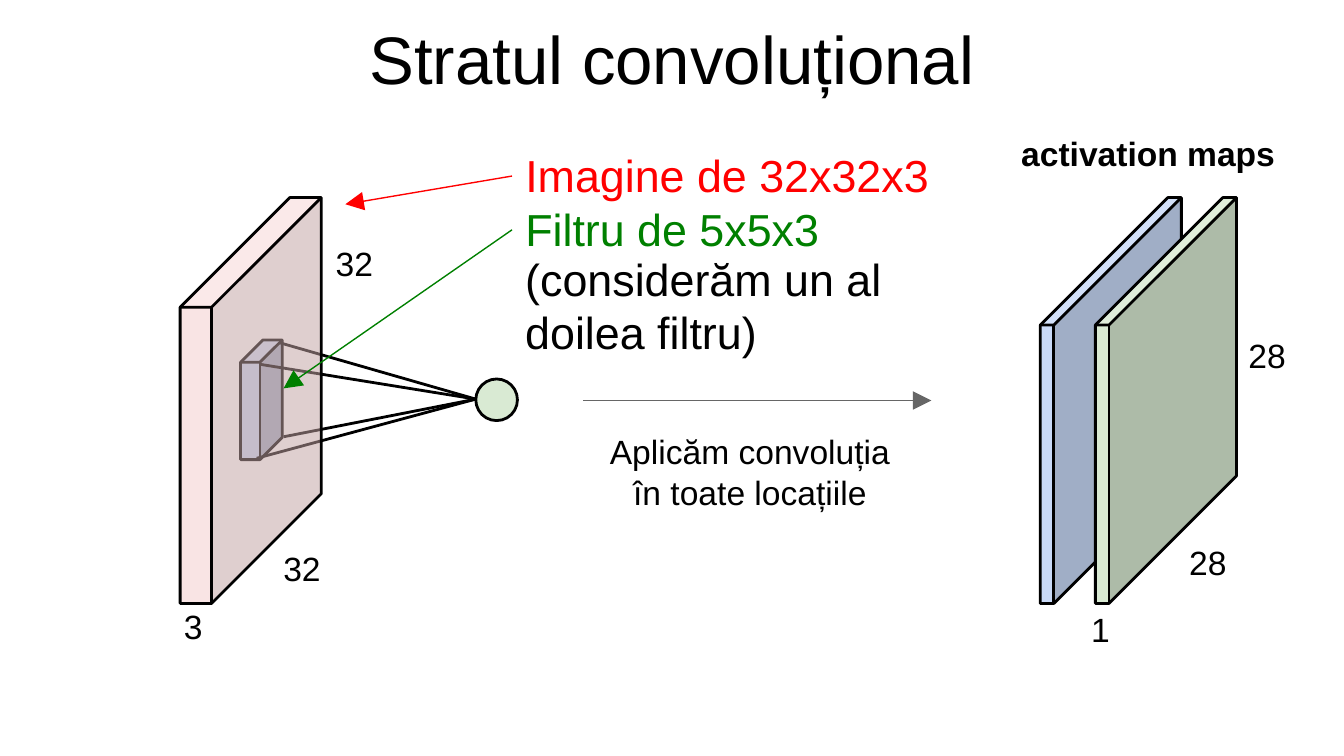
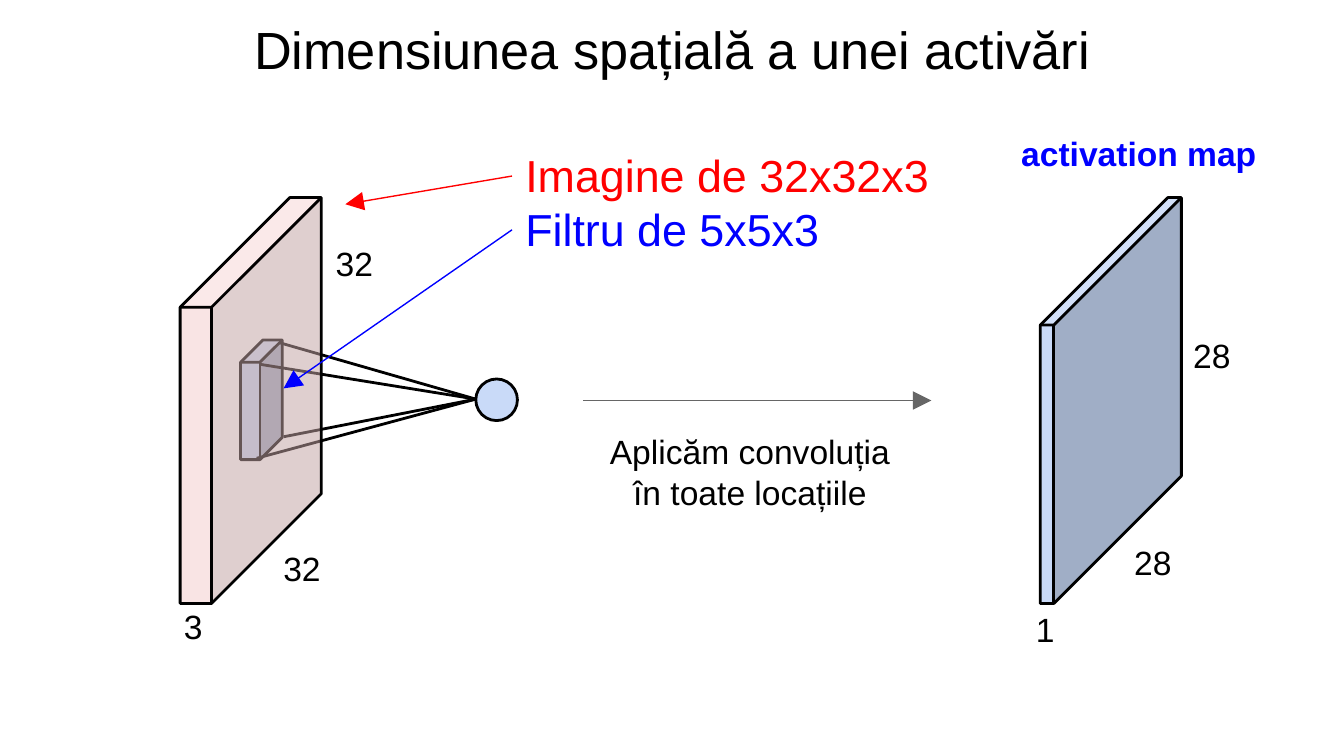
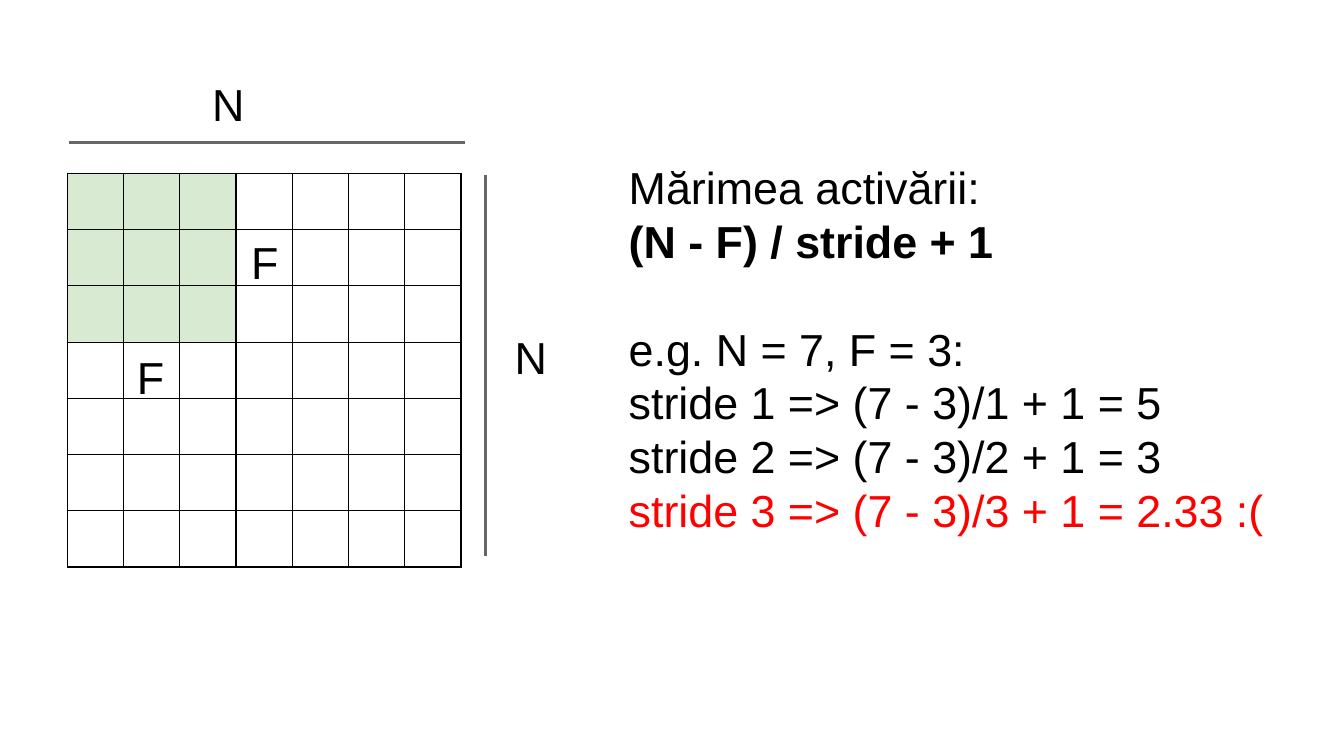
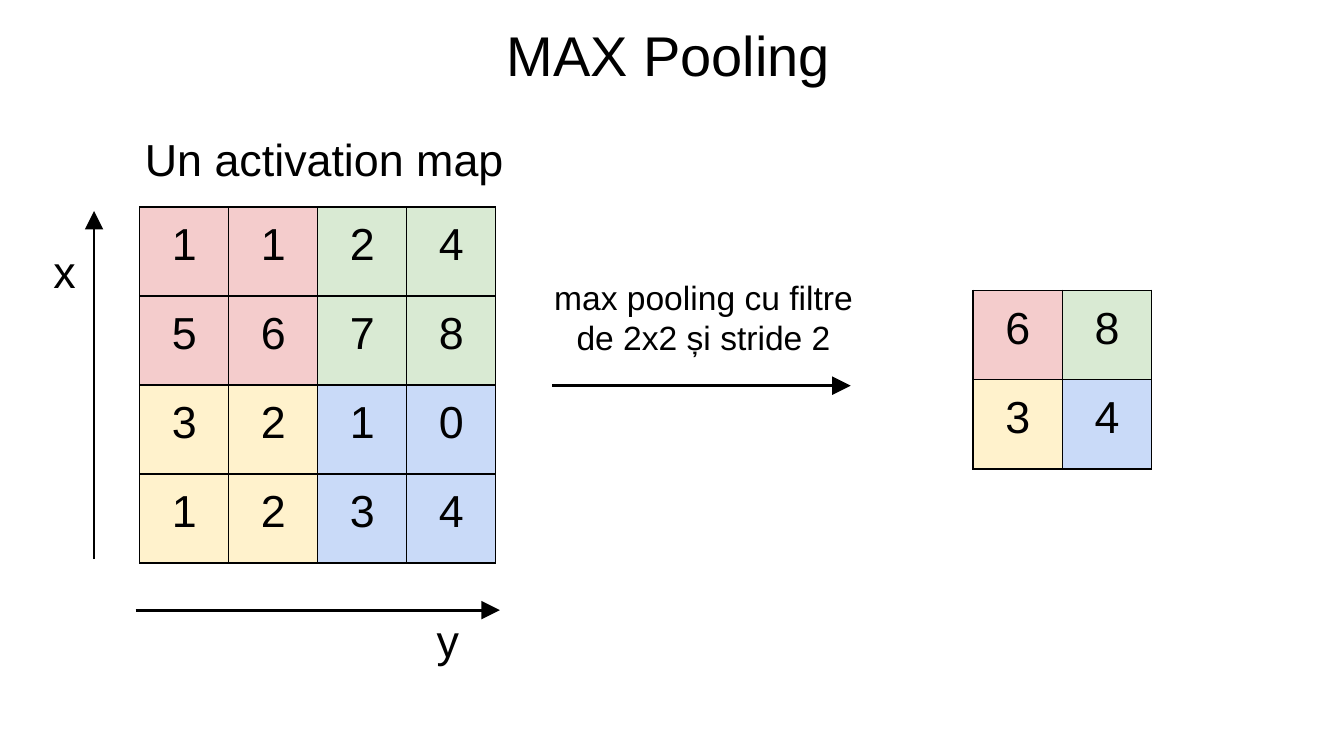
from pptx import Presentation
from pptx.dml.color import RGBColor
from pptx.enum.shapes import MSO_CONNECTOR as Link, MSO_SHAPE as Form
from pptx.enum.text import MSO_ANCHOR as Anchor, MSO_AUTO_SIZE as Fit, PP_ALIGN as Align
from pptx.oxml.ns import qn
from pptx.util import Inches, Pt
from lxml import etree

FONT = "Arial"
INSET = Inches(0.1)
WIDTH = Inches(10)
COLORS = {
    "black": "000000", "gray": "666666", "white": "FFFFFF",
    "red": "FF0000", "green": "008000", "blue": "0000FF",
    "pink": "F4CCCC", "mint": "D9EAD3", "sky": "C9DAF8", "cream": "FFF2CC",
}
QUADS = [["pink", "mint"], ["cream", "sky"]]


def rgb(name):
    return RGBColor.from_string(COLORS[name])


def write(para, text, size, color="black", bold=False, align=Align.LEFT):
    para.alignment = align
    run = para.add_run()
    run.text = text
    font = run.font
    font.name, font.size, font.bold = FONT, Pt(size), bold
    font.color.rgb = rgb(color)


def set_frame(frame):
    frame.word_wrap = True
    frame.auto_size = Fit.NONE
    frame.vertical_anchor = Anchor.TOP
    frame.margin_left = frame.margin_right = INSET
    frame.margin_top = frame.margin_bottom = INSET


def add_text(slide, at, lines, size=18, align=Align.LEFT):
    """Add a text box; each line is (text, colour, bold, points before)."""
    frame = slide.shapes.add_textbox(*map(Inches, at)).text_frame
    set_frame(frame)
    for i, (text, color, bold, gap) in enumerate(lines):
        para = frame.add_paragraph() if i else frame.paragraphs[0]
        para.space_before = Pt(gap)
        write(para, text, size, color, bold, align)


def add_label(slide, at, text, size=18, color="black", bold=False, align=Align.LEFT):
    add_text(slide, at, [(text, color, bold, 0)], size, align)


def add_title(slide, text, size, at=(0, 0.03, 10, 0.72)):
    title = slide.shapes.title
    title.left, title.top, title.width, title.height = map(Inches, at)
    set_frame(title.text_frame)
    write(title.text_frame.paragraphs[0], text, size, align=Align.CENTER)


def add_line(slide, start, end, color="black", width=1.5, arrow=False):
    line = slide.shapes.add_connector(Link.STRAIGHT, *map(Inches, start + end))
    line.line.color.rgb = rgb(color)
    line.line.width = Pt(width)
    if arrow:
        etree.SubElement(line.line._get_or_add_ln(), qn("a:tailEnd"),
                         type="triangle", w="lg", len="lg")
    etree.SubElement(line._element.spPr, qn("a:effectLst"))


def add_form(slide, kind, at, color, depth=None, alpha=None):
    form = slide.shapes.add_shape(kind, *map(Inches, at))
    form.shadow.inherit = False
    form.fill.solid()
    form.fill.fore_color.rgb = rgb(color)
    form.line.color.rgb = rgb("black")
    form.line.width = Pt(1.5)
    if depth:
        form.adjustments[0] = depth
    if alpha:
        tint = form._element.spPr.find(qn("a:solidFill"))[0]
        etree.SubElement(tint, qn("a:alpha"), val=str(alpha * 1000))


def set_edges(cell):
    props = cell._tc.get_or_add_tcPr()
    for side in ("lnL", "lnR", "lnT", "lnB"):
        edge = etree.SubElement(props, qn("a:" + side), w=str(Pt(0.75)))
        fill = etree.SubElement(edge, qn("a:solidFill"))
        etree.SubElement(fill, qn("a:srgbClr"), val=COLORS["black"])


def add_grid(slide, left, top, side, count, shade, values=None):
    """Add a square table; shade(row, col) names the fill of a cell."""
    side = Inches(side)
    table = slide.shapes.add_table(
        count, count, Inches(left), Inches(top), side, side).table
    table.first_row = table.horz_banding = False
    for i in range(count):
        table.columns[i].width = table.rows[i].height = side // count
        for j in range(count):
            cell = table.cell(i, j)
            set_edges(cell)
            cell.fill.solid()
            cell.fill.fore_color.rgb = rgb(shade(i, j))
            if values:
                cell.margin_left = cell.margin_right = INSET
                cell.margin_top = cell.margin_bottom = INSET
                write(cell.text_frame.paragraphs[0], values[i][j], 24, align=Align.CENTER)


def add_map(slide, left, color):
    add_form(slide, Form.CUBE, (left, 1.47, 1.05, 3.02), color, 0.904)


def add_sizes(slide, left):
    """Label the sides of the activation map that starts at left."""
    for dx, top, width, text in (
            (-0.13, 4.43, 0.36, "1"), (0.6, 3.93, 0.54, "28"), (1.04, 2.39, 0.54, "28")):
        add_label(slide, (left + dx, top, width, 0.34), text)


def add_filter(slide, hue, light):
    """Draw the input volume, one filter, its neuron and the step that follows."""
    tip = (3.54, 2.97)
    add_form(slide, Form.CUBE, (1.79, 2.53, 0.31, 0.89), "sky", 0.534)
    for corner in ((1.91, 3.41), (1.93, 2.71), (2.08, 2.55), (2.11, 3.25)):
        add_line(slide, corner, tip)
    add_label(slide, (2.01, 3.98, 0.54, 0.34), "32")
    add_label(slide, (2.4, 1.71, 0.54, 0.31), "32")
    add_label(slide, (1.27, 4.41, 0.54, 0.2), "3")
    add_form(slide, Form.CUBE, (1.34, 1.47, 1.05, 3.02), "pink", 0.777, 52)
    add_line(slide, (4.34, 2.98), (6.93, 2.98), "gray", 0.75, True)
    add_label(slide, (4.33, 3.11, 2.5, 0.52), "Aplicăm convoluția în toate locațiile",
              align=Align.CENTER)
    add_map(slide, 7.74, "sky")
    add_text(slide, (3.81, 1, 3.31, 0.6), [
        ("Imagine de 32x32x3", "red", False, 0),
        ("Filtru de 5x5x3", hue, False, 0)], 24)
    add_line(slide, (3.81, 1.31), (2.57, 1.52), "red", 0.75, True)
    add_line(slide, (3.81, 1.71), (2.11, 2.89), hue, 0.75, True)
    add_form(slide, Form.OVAL, (3.54, 2.82, 0.31, 0.31), light)


def draw_layer(slide):
    add_title(slide, "Stratul convoluțional", 36)
    add_filter(slide, "green", "mint")
    add_label(slide, (7.5, 0.89, 2.23, 0.59), "activation maps", bold=True)
    add_map(slide, 8.15, "mint")
    add_sizes(slide, 8.15)
    add_label(slide, (3.81, 1.77, 3.7, 1.03), "(considerăm un al doilea filtru)", 24)


def draw_space(slide):
    add_title(slide, "Dimensiunea spațială a unei activări", 28)
    add_filter(slide, "blue", "sky")
    add_label(slide, (7.5, 0.89, 1.97, 0.59), "activation map", color="blue", bold=True)
    add_sizes(slide, 7.74)


def draw_stride(slide):
    add_grid(slide, 0.5, 1.29, 2.93, 7, lambda i, j: "mint" if max(i, j) < 3 else "white")
    add_line(slide, (0.51, 1.06), (3.46, 1.06), "gray")
    add_line(slide, (3.61, 1.3), (3.61, 4.14), "gray")
    for left, top, text in (
            (1.48, 0.47, "N"), (3.73, 2.35, "N"), (0.92, 2.5, "F"), (1.77, 1.65, "F")):
        add_label(slide, (left, top, 0.85, 0.43), text, 24)
    add_text(slide, (4.58, 1.09, 4.96, 3.39), [
        ("Mărimea activării:", "black", False, 0),
        ("(N - F) / stride + 1", "black", True, 0),
        ("e.g. N = 7, F = 3:", "black", False, 28.8),
        ("stride 1 => (7 - 3)/1 + 1 = 5", "black", False, 0),
        ("stride 2 => (7 - 3)/2 + 1 = 3", "black", False, 0),
        ("stride 3 => (7 - 3)/3 + 1 = 2.33 :(", "red", False, 0)], 24)


def draw_pool(slide):
    add_title(slide, "MAX Pooling", 30, (0.46, 0.05, 9.03, 0.72))
    add_grid(slide, 1.04, 1.54, 2.65, 4, lambda i, j: QUADS[i // 2][j // 2],
             ["1124", "5678", "3210", "1234"])
    add_label(slide, (0.98, 0.88, 3.54, 0.62), "Un activation map", 24)
    add_line(slide, (0.7, 4.16), (0.7, 1.57), arrow=True)
    add_label(slide, (0.3, 1.71, 0.43, 0.51), "x", 24)
    add_line(slide, (1.01, 4.54), (3.72, 4.54), arrow=True)
    add_label(slide, (3.15, 4.46, 0.43, 0.4), "y", 24)
    add_line(slide, (4.11, 2.87), (6.33, 2.87), arrow=True)
    add_text(slide, (3.77, 1.96, 2.93, 0.8), [
        ("max pooling cu filtre", "black", False, 0),
        ("de 2x2 și stride 2", "black", False, 0)], align=Align.CENTER)
    add_grid(slide, 7.24, 2.16, 1.33, 2, lambda i, j: QUADS[i][j], ["68", "34"])


def main():
    deck = Presentation()
    deck.slide_width, deck.slide_height = WIDTH, WIDTH * 9 // 16
    titled, blank = deck.slide_layouts[5], deck.slide_layouts[6]
    for draw, layout in ((draw_layer, titled), (draw_space, titled),
                         (draw_stride, blank), (draw_pool, titled)):
        draw(deck.slides.add_slide(layout))
    deck.save("out.pptx")


if __name__ == "__main__":
    main()
